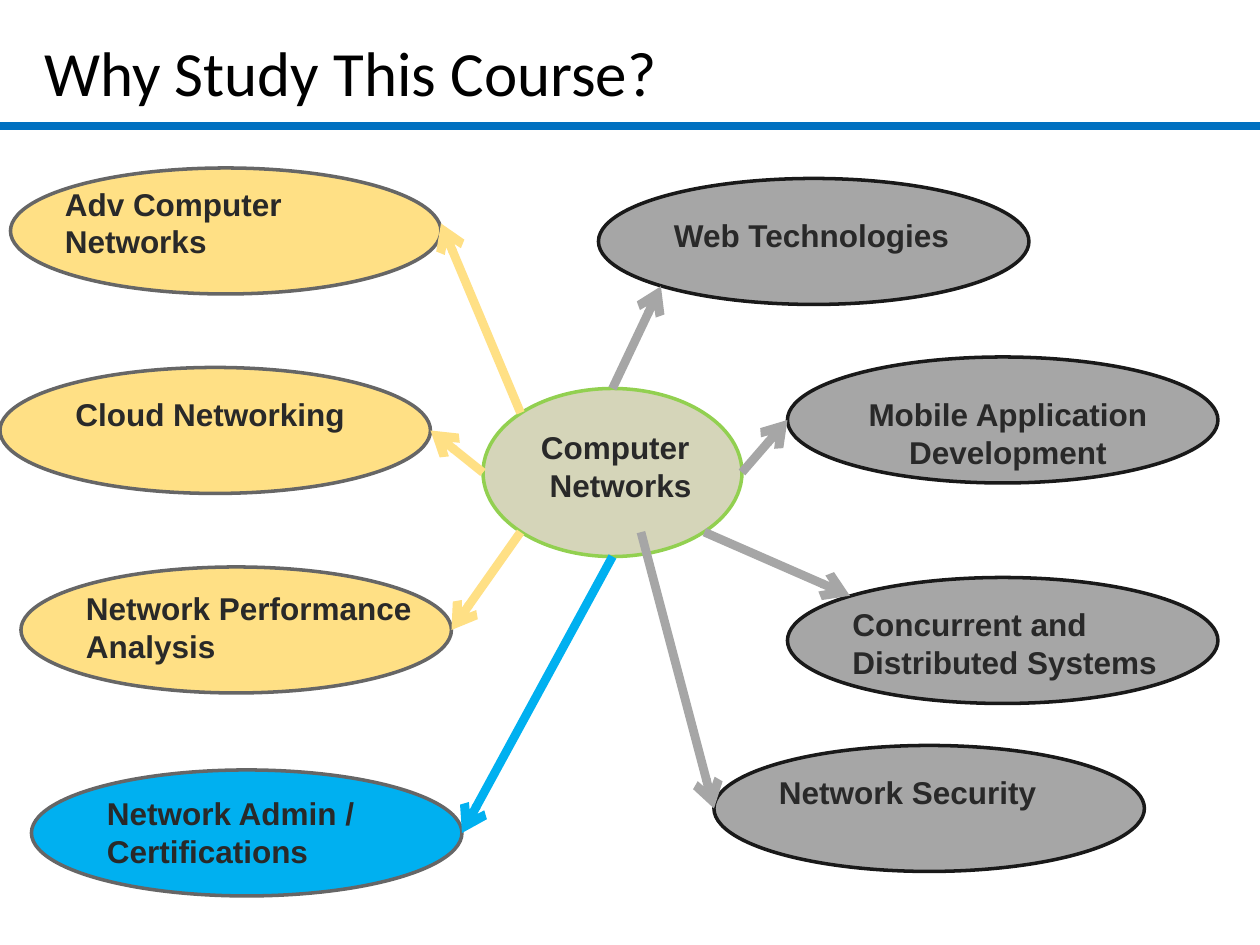
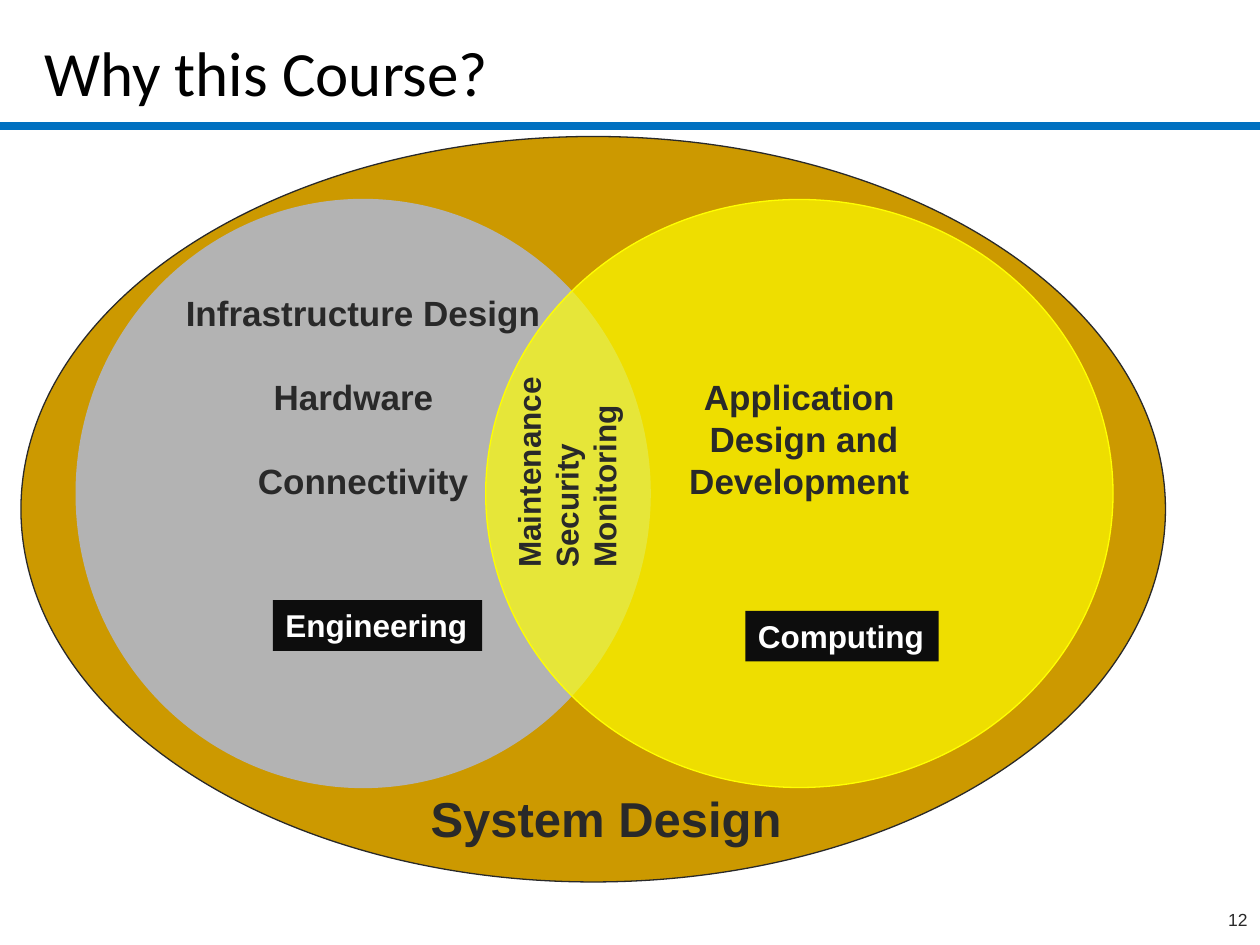
from dataclasses import dataclass
from pptx import Presentation
from pptx import util as u
from pptx.dml.color import RGBColor
from pptx.enum import shapes, text
from pptx.oxml import parse_xml
from pptx.oxml.ns import nsdecls, qn

Pt = u.Pt
LEFT, MID, RIGHT = text.PP_ALIGN.LEFT, text.PP_ALIGN.CENTER, text.PP_ALIGN.RIGHT
TOP, LOW = text.MSO_ANCHOR.TOP, text.MSO_ANCHOR.BOTTOM
GROW, FIXED = text.MSO_AUTO_SIZE.SHAPE_TO_FIT_TEXT, text.MSO_AUTO_SIZE.NONE


@dataclass(frozen=True)
class Theme:
    black: str = "000000"
    white: str = "FFFFFF"
    ink: str = "292929"
    band: str = "0070C0"
    hub: str = "D5D5B9"
    rim: str = "92D050"
    cream: str = "FFE085"
    grey: str = "A6A6A6"
    sky: str = "00B0F0"
    edge: str = "666666"
    dark: str = "191919"
    gold: str = "CC9900"
    ash: str = "B3B3B3"
    lemon: str = "FFFF00"
    tag: str = "0D0D0D"
    head: str = "Calibri"
    body: str = "Arial"
    title: int = 36
    large: int = 28
    mid: int = 20
    base: int = 18
    small: int = 10
    thick: float = 5
    line: float = 2
    thin: float = 0.75


T = Theme()


def rgb(hue):
    return RGBColor.from_string(hue)


def apply(item, form):
    for key, val in form.items():
        setattr(item, key, val)


def write(shape, words, size=T.base, hue=T.ink, name=T.body, bold=True,
          align=LEFT, gap=0, **form):
    frame = shape.text_frame
    frame.text = words
    apply(frame, dict(word_wrap=True, vertical_anchor=TOP, auto_size=FIXED) | form)
    for num, para in enumerate(frame.paragraphs):
        para.alignment = align
        if num and gap:
            para.space_before = Pt(gap)
        for run in para.runs:
            apply(run.font, dict(size=Pt(size), name=name, bold=bold))
            run.font.color.rgb = rgb(hue)


def label(slide, box, words, fill=None, **form):
    shape = slide.shapes.add_textbox(*map(Pt, box))
    if fill:
        shape.fill.solid()
        shape.fill.fore_color.rgb = rgb(fill)
    write(shape, words, **(dict(auto_size=GROW) | form))
    return shape


def oval(slide, box, fill, edge, wide, alpha=None):
    shape = slide.shapes.add_shape(shapes.MSO_SHAPE.OVAL, *map(Pt, box))
    shape.shadow.inherit = False
    shape.fill.solid()
    shape.fill.fore_color.rgb = rgb(fill)
    shape.line.color.rgb = rgb(edge)
    shape.line.width = Pt(wide)
    if alpha:
        tint = shape._element.spPr.find(".//" + qn("a:srgbClr"))
        tint.append(parse_xml(f'<a:alpha {nsdecls("a")} val="{alpha * 1000}"/>'))
    return shape


def link(slide, start, end, hue, arrow=False):
    line = slide.shapes.add_connector(
        shapes.MSO_CONNECTOR.STRAIGHT, *map(Pt, start + end))
    line.line.color.rgb = rgb(hue)
    line.line.width = Pt(T.thick)
    props = line._element.spPr
    if arrow:
        props.find(qn("a:ln")).append(
            parse_xml(f'<a:tailEnd {nsdecls("a")} type="arrow"/>'))
    props.append(parse_xml(f'<a:effectLst {nsdecls("a")}/>'))


def point(box, site):
    x, y, w, h = box
    return x + w / 2 * (1 + site[0]), y + h / 2 * (1 + site[1])


def start(deck, words):
    slide = deck.slides.add_slide(deck.slide_layouts[5])
    title = slide.shapes.title
    apply(title, dict(left=Pt(18), top=Pt(8), width=Pt(684), height=Pt(58)))
    write(title, words, size=T.title, hue=T.black, name=T.head, bold=False,
          vertical_anchor=LOW)
    link(slide, (0, 72), (720, 72), T.band)
    return slide


def branch(slide, hub, spot, tag, words, hues, site, end, align=LEFT):
    x, y = spot
    dx, dy, wide = tag
    fill, edge = hues
    box = (x, y, 246, 72)
    oval(slide, box, fill, edge, T.line)
    high = 51 if len(words) > 16 else 29
    label(slide, (x + dx, y + dy, wide, high), words, align=align)
    link(slide, point(hub, site), point(box, end), fill, arrow=True)


def study(deck):
    slide = start(deck, "Why Study This Course?")
    hub = (276, 222, 148, 96)
    oval(slide, hub, T.hub, T.rim, T.line)
    label(slide, (hub[0] + 26, hub[1] + 19, 101, 51), "Computer\v Networks",
          T.hub, word_wrap=False)
    warm, cool, blue = (T.cream, T.edge), (T.grey, T.dark), (T.sky, T.edge)
    d = 0.71
    west, east = (-1, 0), (1, 0)
    for row in (
        ((6, 96), (24, 6, 222), "Adv Computer Networks", warm, (-d, -d), (1, -0.12)),
        ((0, 210), (36, 12, 204), "Cloud Networking", warm, west, east),
        ((12, 324), (30, 9, 204), "Network Performance Analysis", warm, (-d, d), east),
        ((18, 440), (36, 10, 204), "Network Admin / Certifications", blue, (0, 1), east),
        ((342, 102), (36, 18, 192), "Web Technologies", cool, (0, -1), (-d, d)),
        ((450, 204), (0, 18, 252), "Mobile Application Development", cool, east, west, MID),
        ((450, 330), (30, 12, 228), "Concurrent and Distributed Systems", cool,
         (d, d), (-d, -d)),
        ((408, 426), (30, 12, 228), "Network Security", cool, (0.22, d), west),
    ):
        branch(slide, hub, *row)


def venn(slide, box):
    x, y, w, h = box
    oval(slide, box, T.gold, T.ink, T.thin)
    ring = dict(size=T.mid, align=MID)
    left = oval(slide, (x + 31.5, y + 36, 328, 336), T.ash, T.ash, T.thin)
    write(left, "Infrastructure Design\nHardware\nConnectivity", gap=24, **ring)
    for para, inset in zip(left.text_frame.paragraphs, (0, 11, 0)):
        para._p.get_or_add_pPr().set("marR", str(Pt(inset)))
    right = oval(slide, (x + 265.5, y + 36, 358.5, 336), T.lemon, T.lemon, T.thin, 68)
    write(right, "Application\n Design and Development", margin_top=Pt(51.6), **ring)
    free = dict(word_wrap=False)
    label(slide, (x + 227, y + 369, 217, 41), "System Design", size=T.large, **free)
    both = label(slide, (x + 247, y + 152, 130, 73),
                 "Maintenance\nSecurity\vMonitoring", **free)
    both.rotation = 270
    for dx, dy, wide, words in ((144, 265, 119.5, "Engineering"),
                                (414, 271, 110.5, "Computing")):
        label(slide, (x + dx, y + dy, wide, 29), words, T.tag, hue=T.white, **free)


def reason(deck):
    slide = start(deck, "Why this Course?")
    venn(slide, (12, 78, 654, 426))
    label(slide, (570, 516, 150, 24), "12", size=T.small, bold=False,
          align=RIGHT, auto_size=FIXED)


def main():
    deck = Presentation()
    apply(deck, dict(slide_width=Pt(720), slide_height=Pt(540)))
    study(deck)
    reason(deck)
    deck.save("out.pptx")


if __name__ == "__main__":
    main()
